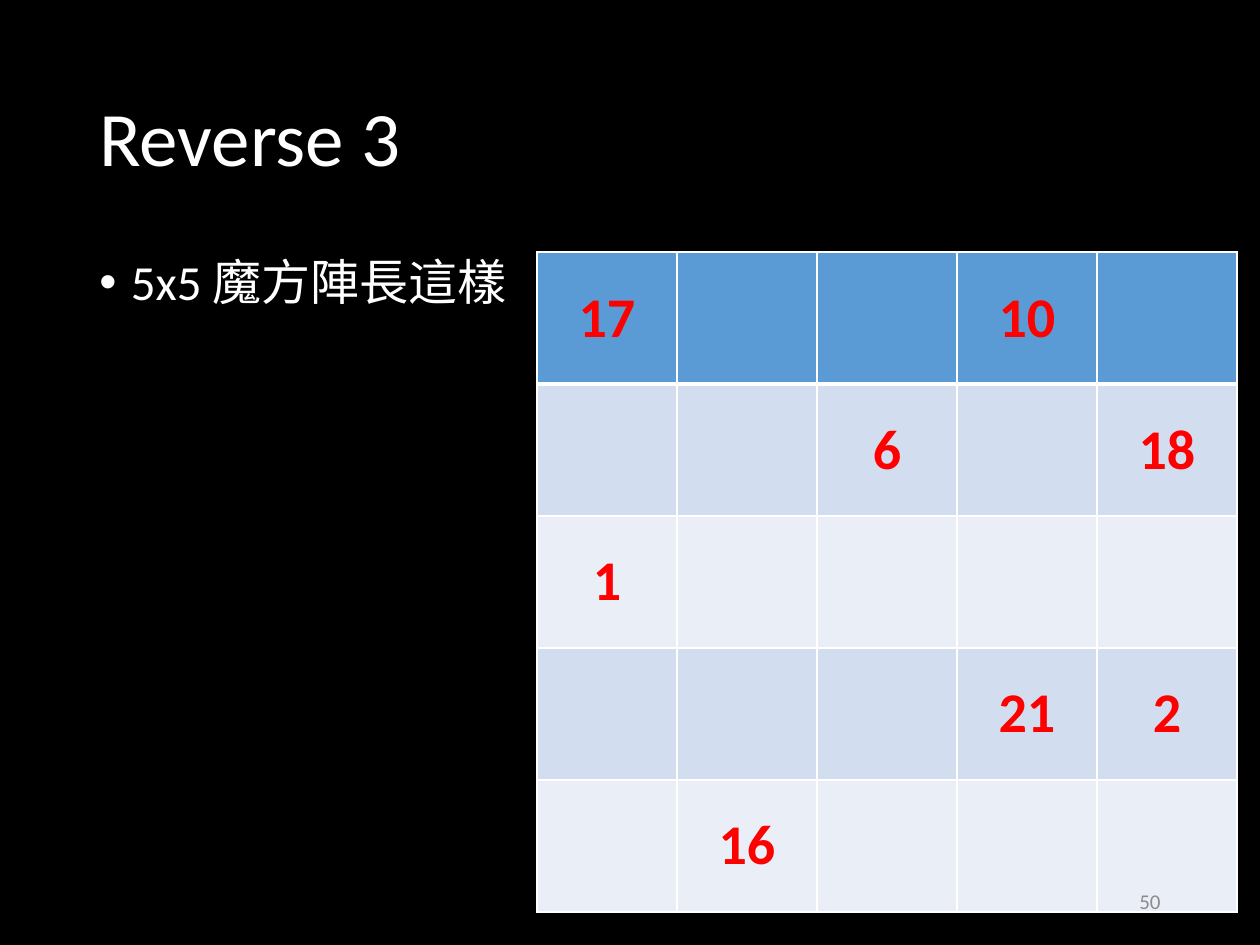
from pptx import Presentation
from pptx.dml.color import RGBColor
from pptx.enum.text import MSO_ANCHOR, PP_ALIGN
from pptx.oxml import parse_xml
from pptx.oxml.ns import nsdecls
from pptx.util import Pt

PX = 914400 // 126
SIDE, WIDE = 87, 1086
CELL_W, CELL_H = 140, 132
WHITE, RED, GREY = "FFFFFF", "FF0000", "8C8C8C"
HEAD, DARK, PALE = "5B9BD5", "D2DEEF", "EAEFF7"


def color(code):
    """Turn a hex string into a colour."""
    return RGBColor.from_string(code)


def write(frame, text, size=28, tint=WHITE, bold=False, align=PP_ALIGN.LEFT,
          line=1.0, before=0, bullet=False):
    """Put one formatted paragraph in a text frame and return nothing."""
    frame.word_wrap = True
    para = frame.paragraphs[0]
    para.alignment = align
    para.line_spacing = line
    para.space_before = Pt(before)
    run = para.add_run()
    run.text = text
    font = run.font
    font.name, font.size, font.bold = "Calibri", Pt(size), bold
    font.color.rgb = color(tint)
    if bullet:
        props = para._p.get_or_add_pPr()
        props.set("marL", "228600")
        props.set("indent", "-228600")
        props.append(parse_xml(f'<a:buFont {nsdecls("a")} typeface="Arial"/>'))
        props.append(parse_xml(f'<a:buChar {nsdecls("a")} char="•"/>'))


deck = Presentation()
deck.slide_width, deck.slide_height = 1260 * PX, 945 * PX
slide = deck.slides.add_slide(deck.slide_layouts[6])
slide.background.fill.solid()
slide.background.fill.fore_color.rgb = color("000000")
shapes = slide.shapes

title = shapes.add_textbox(SIDE * PX, 50 * PX, WIDE * PX, 183 * PX).text_frame
title.vertical_anchor = MSO_ANCHOR.MIDDLE
write(title, "Reverse 3", size=44, line=0.9)

body = shapes.add_textbox(SIDE * PX, 252 * PX, WIDE * PX, 600 * PX).text_frame
write(body, "5x5 魔方陣長這樣", line=0.9, before=10, bullet=True)

# Magic square: None marks a cell still to be found
square = [
    [17, None, None, 10, None],
    [None, None, 6, None, 18],
    [1, None, None, None, None],
    [None, None, None, 21, 2],
    [None, 16, None, None, None],
]
count = len(square)
grid = shapes.add_table(count, count, 537 * PX, 252 * PX,
                        count * CELL_W * PX, count * CELL_H * PX).table
for col in grid.columns:
    col.width = CELL_W * PX
for row in grid.rows:
    row.height = CELL_H * PX

for r, nums in enumerate(square):
    fill = HEAD if r == 0 else DARK if r % 2 else PALE
    for c, num in enumerate(nums):
        cell = grid.cell(r, c)
        cell.vertical_anchor = MSO_ANCHOR.MIDDLE
        if num is not None:
            write(cell.text_frame, str(num), size=32, tint=RED, bold=True,
                  align=PP_ALIGN.CENTER)
        props = cell._tc.get_or_add_tcPr()
        for side in ("L", "R", "T", "B"):
            thick = 3 if (r, side) in ((0, "B"), (1, "T")) else 1
            props.append(parse_xml(
                f'<a:ln{side} {nsdecls("a")} w="{Pt(thick)}"><a:solidFill>'
                f'<a:srgbClr val="{WHITE}"/></a:solidFill></a:ln{side}>'))
        cell.fill.solid()
        cell.fill.fore_color.rgb = color(fill)

page = shapes.add_textbox(890 * PX, 876 * PX, 283 * PX, 50 * PX).text_frame
page.vertical_anchor = MSO_ANCHOR.MIDDLE
write(page, "50", size=12, tint=GREY, align=PP_ALIGN.RIGHT)

deck.save("out.pptx")
